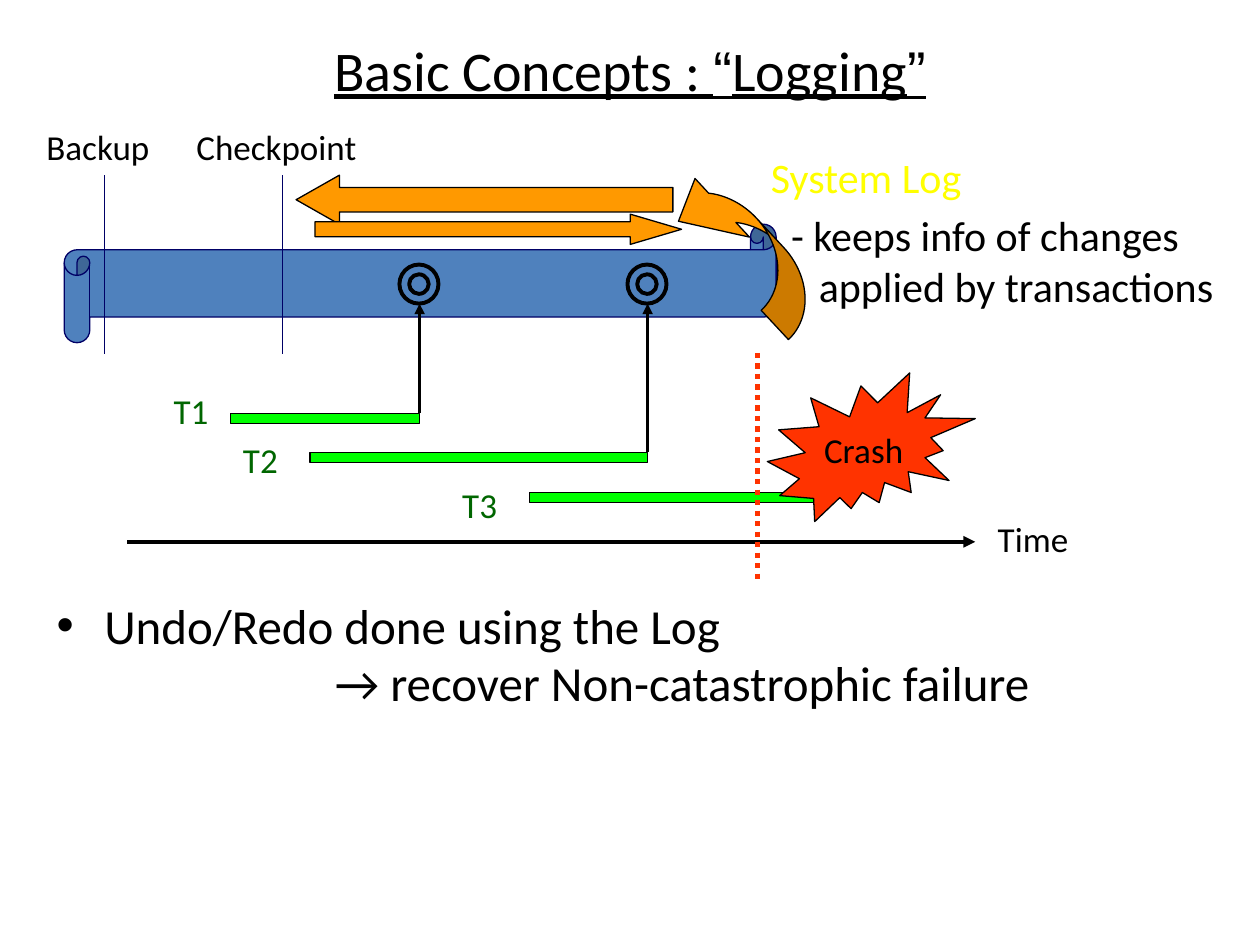
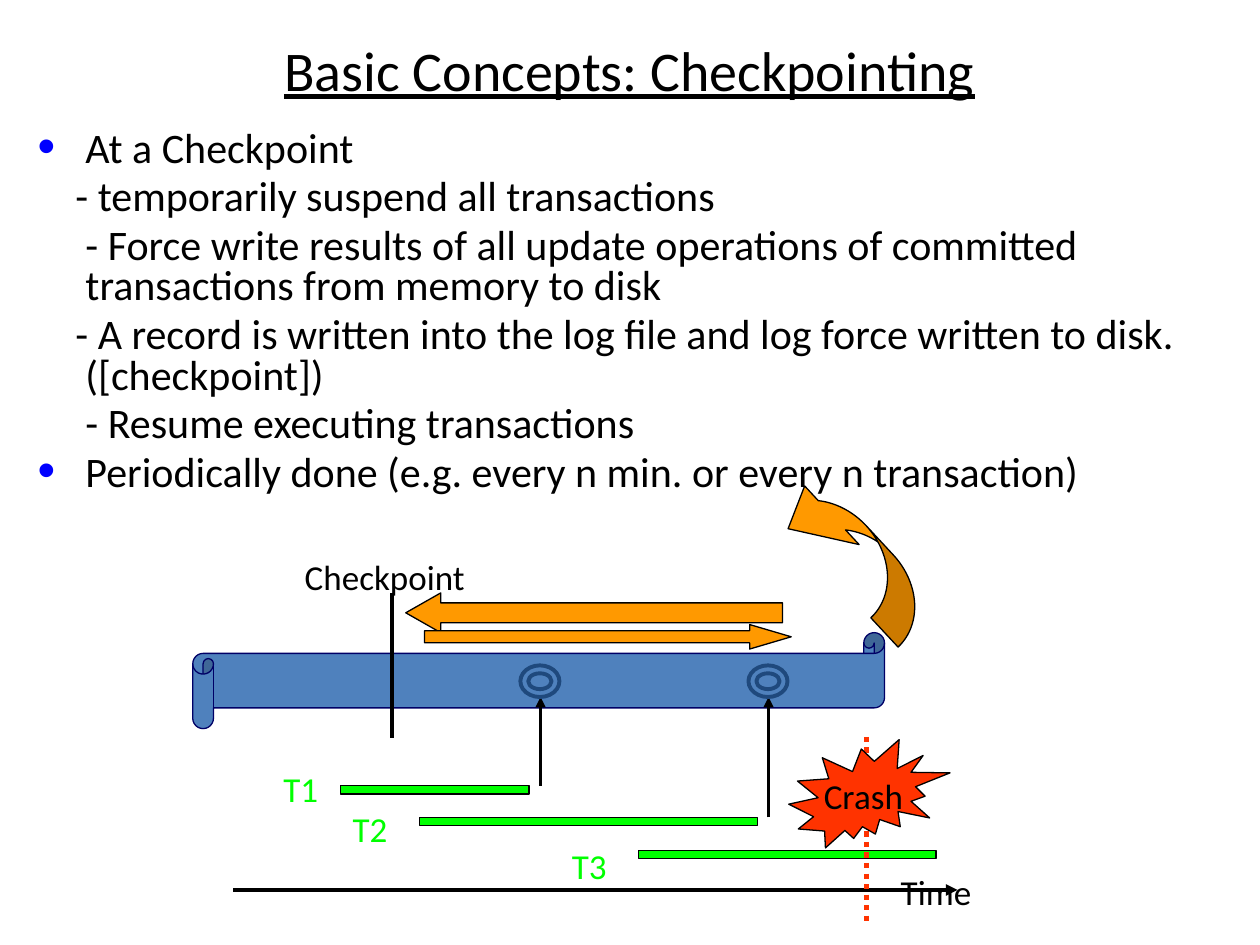
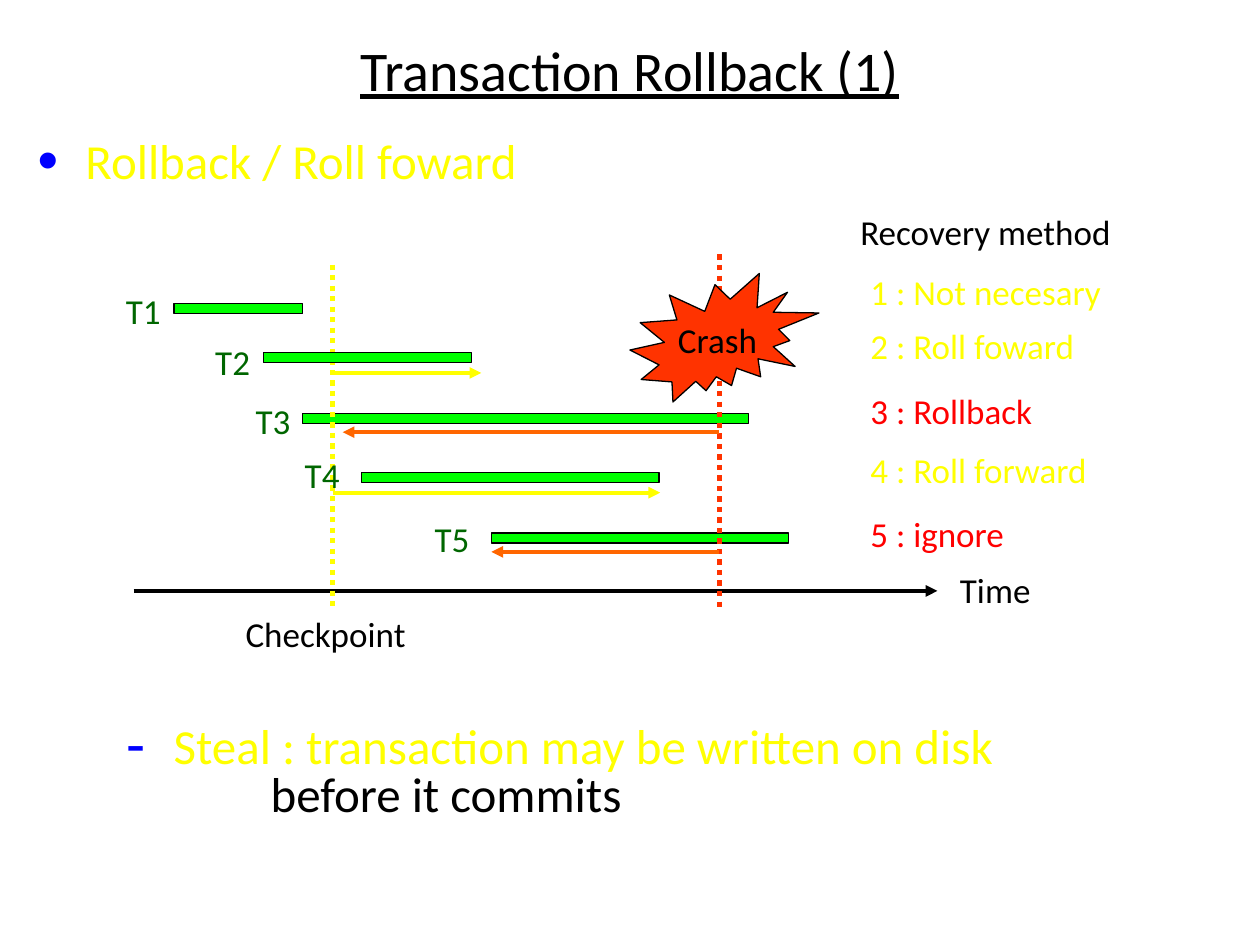
import lxml.etree
import pptx
import pptx.dml.color
import pptx.enum.dml
import pptx.enum.shapes
import pptx.enum.text
import pptx.oxml.ns
import pptx.util

Inches = pptx.util.Inches
Pt = pptx.util.Pt
RGBColor = pptx.dml.color.RGBColor
SHAPE = pptx.enum.shapes.MSO_SHAPE
ALIGN = pptx.enum.text.PP_ALIGN
ANCHOR = pptx.enum.text.MSO_ANCHOR
qn = pptx.oxml.ns.qn

BLACK = RGBColor(0x00, 0x00, 0x00)
BLUE = RGBColor(0x4F, 0x81, 0xBD)
DEEP_BLUE = RGBColor(0x1F, 0x49, 0x7D)
NAVY = RGBColor(0x00, 0x00, 0x66)
BULLET_BLUE = RGBColor(0x00, 0x00, 0xFF)
GREEN = RGBColor(0x00, 0xFF, 0x00)
DARK_GREEN = RGBColor(0x00, 0x66, 0x00)
YELLOW = RGBColor(0xFF, 0xFF, 0x00)
ORANGE = RGBColor(0xFF, 0x99, 0x00)
ROLLBACK_ORANGE = RGBColor(0xFF, 0x66, 0x00)
CRASH_RED = RGBColor(0xFF, 0x33, 0x00)
RED = RGBColor(0xFF, 0x00, 0x00)

FONT = "Calibri"
QUOTE_FONT = "Arial"
HANG = 0.38
BAR_HEIGHT = 0.08


class Deck:
    def __init__(self):
        self.presentation = pptx.Presentation()
        self.presentation.slide_width = Inches(10)
        self.presentation.slide_height = Inches(7.5)
        self.slide = None

    def new_slide(self, *title_runs):
        layout = self.presentation.slide_layouts[6]
        self.slide = self.presentation.slides.add_slide(layout)
        frame = self.frame(0.5, 0.13, 9, 0.83)
        frame.vertical_anchor = ANCHOR.MIDDLE
        heading = frame.paragraphs[0]
        heading.alignment = ALIGN.CENTER
        for text, font in title_runs:
            self.run(heading, text, 32, BLACK, font).font.underline = True

    def frame(self, left, top, width, height):
        box = self.slide.shapes.add_textbox(
            Inches(left), Inches(top), Inches(width), Inches(height))
        box.text_frame.word_wrap = True
        return box.text_frame

    def run(self, paragraph, text, size, colour, font=FONT):
        run = paragraph.add_run()
        run.text = text
        run.font.name = font
        run.font.size = Pt(size)
        run.font.color.rgb = colour
        return run

    def label(self, text, left, top, width, colour=BLACK):
        frame = self.frame(left, top, width, 0.43)
        frame.word_wrap = False
        frame.auto_size = pptx.enum.text.MSO_AUTO_SIZE.SHAPE_TO_FIT_TEXT
        self.run(frame.paragraphs[0], text, 20, colour)

    def body(self, left, top, width, height, size, items):
        """Each item is a dict: text, and optionally colour, left, first (where
        the first line starts), bullet, bullet_colour, spacing."""
        frame = self.frame(left, top, width, height)
        for index, item in enumerate(items):
            paragraph = frame.add_paragraph() if index else frame.paragraphs[0]
            paragraph.space_before = Pt(size * 0.2)
            paragraph.line_spacing = item.get("spacing", 1.0)
            margin = item.get("left", HANG)
            properties = paragraph._p.get_or_add_pPr()
            properties.set("marL", str(Inches(margin)))
            properties.set("indent", str(Inches(item.get("first", 0) - margin)))
            if "bullet" in item:
                self.bullet(properties, item["bullet"], item.get("bullet_colour"))
            self.run(paragraph, item["text"], size, item.get("colour", BLACK))

    def bullet(self, properties, mark, colour):
        add = lxml.etree.SubElement
        if colour is not None:
            add(add(properties, qn("a:buClr")), qn("a:srgbClr")).set("val", str(colour))
            add(properties, qn("a:buSzPct")).set("val", "120000")
        add(properties, qn("a:buFont")).set("typeface", QUOTE_FONT)
        add(properties, qn("a:buChar")).set("char", mark)

    def shape(self, kind, left, top, width, height, fill, line=BLACK, weight=0.75,
              adjust=(), flip=None, rotation=0):
        shape = self.slide.shapes.add_shape(
            kind, Inches(left), Inches(top), Inches(width), Inches(height))
        shape.shadow.inherit = False
        shape.fill.solid()
        shape.fill.fore_color.rgb = fill
        shape.line.color.rgb = line
        shape.line.width = Pt(weight)
        for index, value in enumerate(adjust):
            shape.adjustments[index] = value
        shape.rotation = rotation
        if flip:
            shape.element.spPr.xfrm.set(flip, "1")
        return shape

    def line(self, start, end, colour=BLACK, weight=2.25, arrow=False, dotted=False):
        connector = self.slide.shapes.add_connector(
            pptx.enum.shapes.MSO_CONNECTOR.STRAIGHT,
            Inches(start[0]), Inches(start[1]), Inches(end[0]), Inches(end[1]))
        connector.line.color.rgb = colour
        connector.line.width = Pt(weight)
        if dotted:
            connector.line.dash_style = pptx.enum.dml.MSO_LINE.ROUND_DOT
        if arrow:
            outline = connector.line._get_or_add_ln()
            lxml.etree.SubElement(outline, qn("a:tailEnd")).set("type", "triangle")
        lxml.etree.SubElement(connector._element.spPr, qn("a:effectLst"))

    def crash(self, left, top, width, height):
        burst = self.shape(SHAPE.EXPLOSION2, left, top, width, height, CRASH_RED)
        frame = burst.text_frame
        frame.word_wrap = False
        frame.vertical_anchor = ANCHOR.MIDDLE
        frame.paragraphs[0].alignment = ALIGN.CENTER
        self.run(frame.paragraphs[0], "Crash", 20, BLACK)

    def transaction(self, left, top, width, height=BAR_HEIGHT):
        self.shape(SHAPE.RECTANGLE, left, top, width, height, GREEN)

    def curl(self, left, top):
        self.shape(SHAPE.CURVED_LEFT_ARROW, left, top, 0.47, 1.6, ORANGE,
                   adjust=(0.675, 1.351, 0.696), flip="flipV", rotation=317.1)

    def log_diagram(self, scroll, axis, crash, shift=0, drop=0, squash=1.0,
                    commits=(3.33, 5.14), name_colour=DARK_GREEN, ring_colour=BLACK,
                    checkpoint_line=(NAVY, 0.75)):
        """The log with three transactions, moved right by shift and scaled
        vertically by squash before moving down by drop."""
        def y(value):
            return drop + squash * value

        left, width = scroll
        self.shape(SHAPE.HORIZONTAL_SCROLL, left, y(1.78), width, squash * 0.94,
                   BLUE, NAVY, adjust=(0.216,))
        bars = [(1.83, 3.28, 1.5), (2.46, 3.59, 2.68), (4.2, 3.91, 2.36)]
        for start, top, length in bars:
            self.transaction(start + shift, y(top), length, squash * BAR_HEIGHT)
        self.line((axis[0], y(4.3)), (axis[1], y(4.3)), arrow=True)
        names = [(1.28, 3.04), (1.83, 3.43), (3.57, 3.79)]
        for number, (start, top) in enumerate(names, 1):
            self.label(f"T{number}", start + shift, y(top), 0.51, name_colour)
        crash_x = 6.01 + shift
        self.line((crash_x, y(2.8)), (crash_x, y(4.61)), CRASH_RED, 3, dotted=True)
        self.crash(*crash)
        for commit_x, (_, top, _) in zip(commits, bars):
            self.line((commit_x, y(top)), (commit_x, y(2.41)), weight=1.5, arrow=True)
            self.shape(SHAPE.DONUT, commit_x - 0.16, y(2.1), 0.31, squash * 0.31,
                       BLUE, ring_colour, 2.25, adjust=(0.25,))
        self.shape(SHAPE.LEFT_ARROW, 2.35 + shift, y(1.39), 2.99, squash * 0.39,
                   ORANGE, adjust=(0.498, 0.881))
        self.shape(SHAPE.LEFT_ARROW, 2.5 + shift, y(1.7), 2.91, squash * 0.24,
                   ORANGE, adjust=(0.497, 1.697), flip="flipH")
        checkpoint_x = 2.24 + shift
        self.line((checkpoint_x, y(1.39)), (checkpoint_x, y(2.81)), *checkpoint_line)


def logging_slide(deck):
    deck.new_slide(("Basic Concepts : ", FONT), ("“", QUOTE_FONT),
                   ("Logging", FONT), ("”", QUOTE_FONT))
    deck.body(0.35, 4.77, 9.45, 1.02, 28, [
        dict(text="Undo/Redo done using the Log", bullet="•", spacing=0.8),
        dict(text="→ recover Non-catastrophic failure", left=2.21, first=2.21,
             spacing=0.8),
    ])
    deck.log_diagram(scroll=(0.51, 5.65), axis=(1.01, 7.74),
                     crash=(6.09, 2.96, 1.65, 1.18))
    deck.label("Time", 7.82, 4.06, 0.81)
    deck.body(6.02, 1.15, 4.06, 1.42, 24, [
        dict(text="System Log", colour=YELLOW),
        dict(text="- keeps info of changes applied by transactions", first=0.16),
    ])
    deck.curl(5.65, 1.15)
    deck.label("Checkpoint", 1.46, 0.95, 1.55)
    deck.line((0.83, 1.39), (0.83, 2.81), NAVY, 0.75)
    deck.label("Backup", 0.27, 0.95, 1.09)


def checkpointing_slide(deck):
    deck.new_slide(("Basic Concepts: Checkpointing", FONT))
    point = dict(bullet="•", bullet_colour=BULLET_BLUE, spacing=0.8)
    near_step = dict(first=0.3, spacing=0.8)
    far_step = dict(first=HANG, spacing=0.8)
    deck.body(0.2, 0.99, 9.29, 2.92, 24, [
        dict(point, text="At a Checkpoint"),
        dict(near_step, text="- temporarily suspend all transactions"),
        dict(far_step, text="- Force write results of all update operations of "
                            "committed transactions from memory to disk"),
        dict(near_step, text="- A record is written into the log file and log force "
                             "written to disk. ([checkpoint])"),
        dict(far_step, text="- Resume executing transactions"),
        dict(point, text="Periodically done (e.g. every n min. or every n transaction)"),
    ])
    deck.label("Time", 7.05, 6.86, 0.81)
    deck.curl(6.52, 3.59)
    deck.log_diagram(scroll=(1.53, 5.49), axis=(1.85, 7.6),
                     crash=(6.26, 5.87, 1.28, 0.86), shift=0.87, drop=3.58,
                     squash=0.81, commits=(4.29, 6.1), name_colour=GREEN,
                     ring_colour=DEEP_BLUE, checkpoint_line=(BLACK, 2.25))
    deck.label("Checkpoint", 2.32, 4.36, 1.55)


def rollback_slide(deck):
    deck.new_slide(("Transaction Rollback (1)", FONT))
    deck.body(0.2, 0.99, 4.65, 0.63, 28, [
        dict(text="Rollback / Roll foward", colour=YELLOW, bullet="•",
             bullet_colour=BULLET_BLUE),
    ])
    checkpoint_x, crash_x = 2.64, 5.71
    bars = [(1.38, 2.41, 1.02), (2.09, 2.8, 1.65), (2.4, 3.28, 3.54),
            (2.87, 3.75, 2.36), (3.9, 4.23, 2.36)]
    for bar in bars[2:]:
        deck.transaction(*bar)
    deck.line((1.06, 4.69), (7.44, 4.69), arrow=True)
    deck.label("Time", 7.52, 4.46, 0.81)
    deck.line((crash_x, 2.02), (crash_x, 4.85), CRASH_RED, 3, dotted=True)
    deck.crash(5, 2.17, 1.5, 1.02)
    deck.line((checkpoint_x, 2.1), (checkpoint_x, 4.85), YELLOW, 3, dotted=True)
    for bar in bars[:2]:
        deck.transaction(*bar)
    names = [(0.9, 2.25), (1.61, 2.65), (1.93, 3.12), (2.32, 3.55), (3.35, 4.06)]
    for number, (left, top) in enumerate(names, 1):
        deck.label(f"T{number}", left, top, 0.51, DARK_GREEN)
    methods = [("Not necesary", 2.1, 2.31, YELLOW), ("Roll foward", 2.53, 2.1, YELLOW),
               ("Rollback", 3.04, 1.73, RED), ("Roll forward", 3.51, 2.2, YELLOW),
               ("ignore", 4.02, 1.27, RED)]
    for number, (method, top, width, colour) in enumerate(methods, 1):
        deck.label(f"{number} : {method}", 6.81, top, width, colour)
    deck.label("Checkpoint", 1.85, 4.81, 1.48)
    deck.body(0.9, 5.72, 8.03, 0.87, 28, [
        dict(text="Steal : transaction may be written on disk", colour=YELLOW,
             bullet="-", bullet_colour=BULLET_BLUE, spacing=0.8),
        dict(text="before it commits", left=1.15, first=1.15, spacing=0.6),
    ])
    deck.label("Recovery method", 6.73, 1.62, 2.44)
    for start, end, level, colour in [
            (crash_x, 2.72, 3.43, ROLLBACK_ORANGE), (crash_x, 3.9, 4.38, ROLLBACK_ORANGE),
            (checkpoint_x, 3.82, 2.96, YELLOW), (checkpoint_x, 5.24, 3.91, YELLOW)]:
        deck.line((start, level), (end, level), colour, arrow=True)


def main():
    deck = Deck()
    logging_slide(deck)
    checkpointing_slide(deck)
    rollback_slide(deck)
    deck.presentation.save("out.pptx")


if __name__ == "__main__":
    main()
